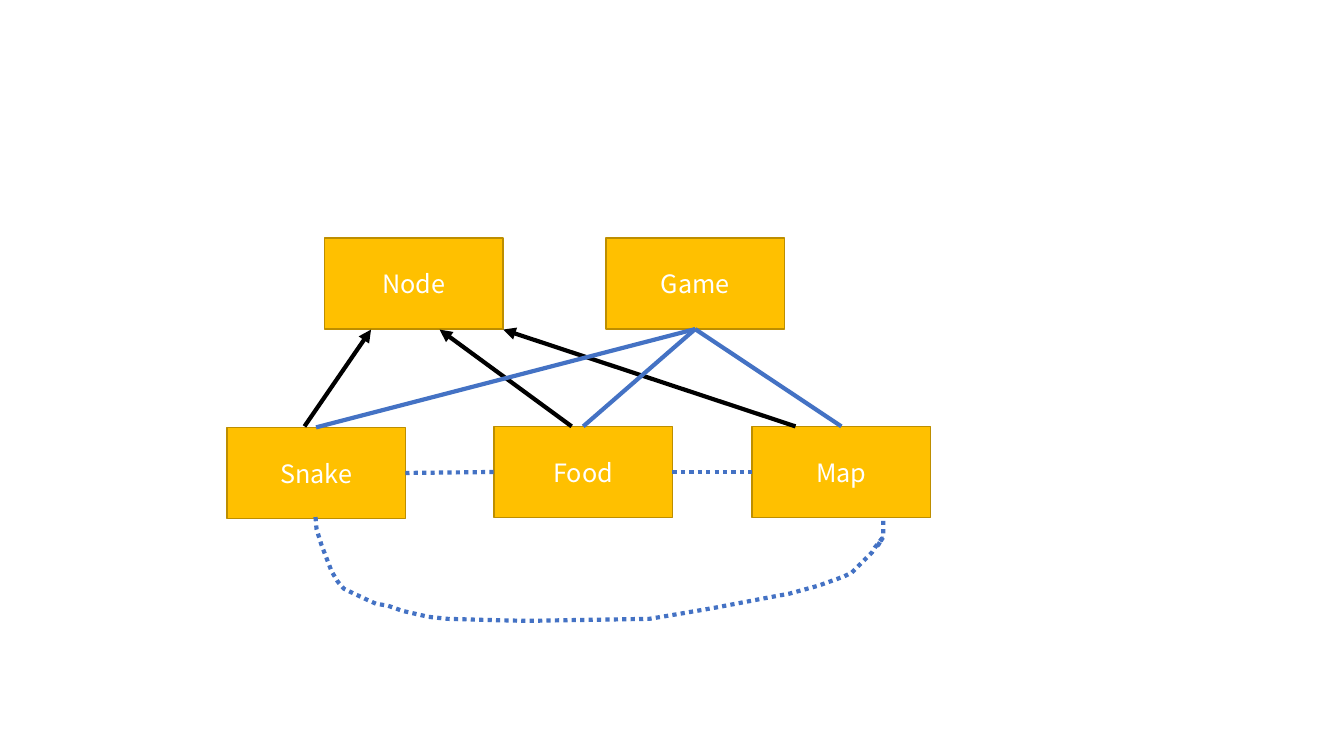
from dataclasses import dataclass

from pptx import Presentation
from pptx.dml.color import RGBColor as RGB
from pptx.enum.dml import MSO_LINE as Dash
from pptx.enum.shapes import MSO_CONNECTOR as Connector, MSO_SHAPE as Shape
from pptx.enum.text import MSO_ANCHOR as Anchor, PP_ALIGN as Align
from pptx.oxml.ns import qn
from pptx.util import Inches, Pt
from lxml.etree import SubElement

TOP, LEFT, BOTTOM, RIGHT = range(4)


@dataclass(frozen=True)
class Theme:
    box: RGB = RGB(0xFF, 0xC0, 0x00)
    border: RGB = RGB(0xBD, 0x8E, 0x00)
    label: RGB = RGB(0xFF, 0xFF, 0xFF)
    inheritance: RGB = RGB(0x00, 0x00, 0x00)
    association: RGB = RGB(0x44, 0x72, 0xC4)
    font: str = "Noto Sans CJK SC"
    label_size: Pt = Pt(18)
    border_width: Pt = Pt(1)
    link_width: Pt = Pt(3)


class ClassDiagram:
    """Draws on a grid whose columns and rows are a tenth of an inch."""

    BOX_WIDTH, BOX_HEIGHT = 17.7, 9.05

    def __init__(self, slide, theme):
        self.shapes = slide.shapes
        self.theme = theme

    @staticmethod
    def cells(*counts):
        return [Inches(count / 10) for count in counts]

    def box(self, name, column, row):
        theme = self.theme
        box = self.shapes.add_shape(
            Shape.RECTANGLE,
            *self.cells(column, row, self.BOX_WIDTH, self.BOX_HEIGHT))
        box.shadow.inherit = False
        box.fill.solid()
        box.fill.fore_color.rgb = theme.box
        box.line.color.rgb = theme.border
        box.line.width = theme.border_width
        box.text_frame.vertical_anchor = Anchor.MIDDLE
        label = box.text_frame.paragraphs[0]
        label.text = name
        label.alignment = Align.CENTER
        label.font.name = theme.font
        label.font.size = theme.label_size
        label.font.color.rgb = theme.label
        return box

    def style_link(self, link, color, dotted=False):
        link.line.color.rgb = color
        link.line.width = self.theme.link_width
        if dotted:
            link.line.dash_style = Dash.ROUND_DOT

    def straight(self, start, end, color, dotted=False):
        link = self.shapes.add_connector(
            Connector.STRAIGHT, *self.cells(*start, *end))
        self.style_link(link, color, dotted)
        SubElement(link._element.spPr, qn("a:effectLst"))
        return link

    def arrow(self, start, end):
        link = self.straight(start, end, self.theme.inheritance)
        SubElement(link.line._get_or_add_ln(), qn("a:tailEnd"), type="triangle")

    def join(self, source, source_side, target, target_side, dotted=False):
        link = self.straight((0, 0), (0, 0), self.theme.association, dotted)
        link.begin_connect(source, source_side)
        link.end_connect(target, target_side)

    def dotted_curve(self, points):
        start, *rest = [self.cells(*point) for point in points]
        builder = self.shapes.build_freeform(*start)
        builder.add_line_segments(rest, close=False)
        curve = builder.convert_to_shape()
        curve.shadow.inherit = False
        curve.fill.background()
        self.style_link(curve, self.theme.association, dotted=True)


BOXES = {
    "Snake": (22.5, 42.4),
    "Food": (49, 42.3),
    "Map": (74.6, 42.3),
    "Game": (60.1, 23.6),
    "Node": (32.2, 23.6),
}
INHERITANCE = [
    ((30.2, 42.3), (36.8, 32.7)),
    ((56.7, 42.3), (43.6, 32.7)),
    ((78.9, 42.3), (49.9, 32.7)),
]
SNAKE_TO_MAP = [
    (31.3, 51.3), (31.4, 52.5), (31.9, 54.1), (32.4, 55.4), (32.9, 56.7),
    (33.5, 57.7), (34.1, 58.4), (34.7, 58.7), (36.4, 59.5), (37.3, 59.9),
    (38.5, 60.1), (39.9, 60.6), (42.5, 61.2), (44.4, 61.4), (47.8, 61.5),
    (52.2, 61.6), (64.4, 61.4), (67.4, 60.9), (70.9, 60.3), (75.6, 59.4),
    (78.3, 58.9), (81.2, 58.1), (83.7, 57.2), (84.5, 56.8), (85.5, 55.8),
    (86.5, 54.8), (86.8, 54.3), (87.5, 53.4), (87.1, 54.1), (87.6, 53.3),
    (87.6, 51.4),
]


def main():
    deck = Presentation()
    deck.slide_width, deck.slide_height = Inches(13.33), Inches(7.5)
    slide = deck.slides.add_slide(deck.slide_layouts[6])
    diagram = ClassDiagram(slide, Theme())

    boxes = {name: diagram.box(name, *cell) for name, cell in BOXES.items()}
    for start, end in INHERITANCE:
        diagram.arrow(start, end)
    for source, target in (("Snake", "Food"), ("Food", "Map")):
        diagram.join(boxes[source], RIGHT, boxes[target], LEFT, dotted=True)
    diagram.dotted_curve(SNAKE_TO_MAP)
    for part in ("Snake", "Food", "Map"):
        diagram.join(boxes["Game"], BOTTOM, boxes[part], TOP)

    deck.save("out.pptx")


if __name__ == "__main__":
    main()
